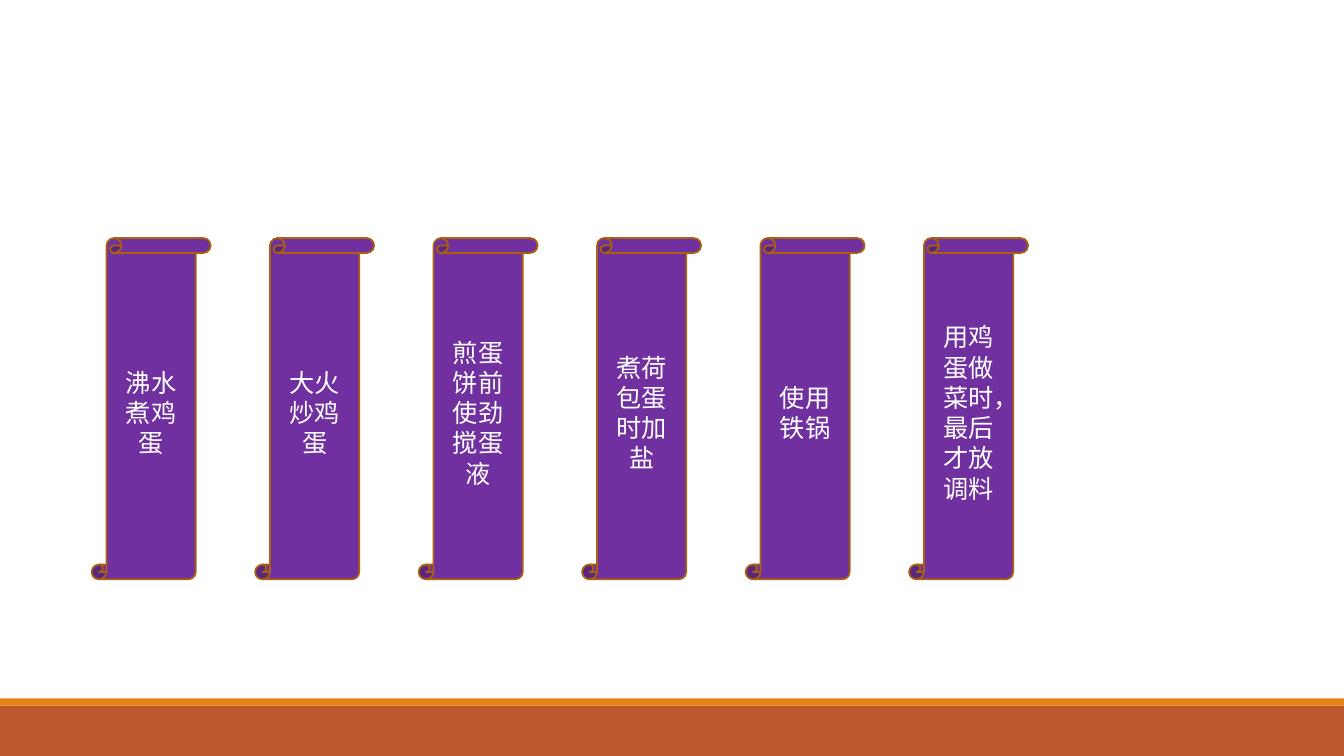
from dataclasses import dataclass

from pptx import Presentation
from pptx.dml.color import RGBColor
from pptx.enum.shapes import MSO_SHAPE
from pptx.enum.text import MSO_ANCHOR, PP_ALIGN
from pptx.util import Cm, Pt

SLIDE_WIDTH, SLIDE_HEIGHT = 33.87, 19.05
SCROLL_LEFT, SCROLL_TOP, SCROLL_PITCH = 2.31, 6, 4.12
SCROLL_WIDTH, SCROLL_HEIGHT = 3, 8.6
FOOTER_TOP, STRIPE_HEIGHT = 17.78, 0.18

COOKING_TIPS = [
    "沸水煮鸡蛋",
    "大火炒鸡蛋",
    "煎蛋饼前使劲搅蛋液",
    "煮荷包蛋时加盐",
    "使用铁锅",
    "用鸡蛋做菜时，最后才放调料",
]


@dataclass(frozen=True)
class Theme:
    footer: RGBColor = RGBColor.from_string("BD582C")
    stripe: RGBColor = RGBColor.from_string("E48312")
    scroll: RGBColor = RGBColor.from_string("7030A0")
    outline: RGBColor = RGBColor.from_string("A9610D")
    text: RGBColor = RGBColor.from_string("FFFFFF")
    font: str = "Calibri"
    text_size: Pt = Pt(18)
    outline_width: Pt = Pt(1.25)


class SlideBuilder:
    def __init__(self, slide, theme):
        self.slide = slide
        self.theme = theme

    def filled_shape(self, kind, left, top, width, height, color):
        """Add a preset shape, measured in cm, with no shadow or outline."""
        shape = self.slide.shapes.add_shape(
            kind, Cm(left), Cm(top), Cm(width), Cm(height))
        shape.shadow.inherit = False
        shape.fill.solid()
        shape.fill.fore_color.rgb = color
        shape.line.fill.background()
        return shape

    def band(self, top, height, color):
        self.filled_shape(MSO_SHAPE.RECTANGLE, 0, top, SLIDE_WIDTH, height, color)

    def scroll(self, left, tip):
        scroll = self.filled_shape(
            MSO_SHAPE.VERTICAL_SCROLL, left, SCROLL_TOP,
            SCROLL_WIDTH, SCROLL_HEIGHT, self.theme.scroll)
        scroll.line.color.rgb = self.theme.outline
        scroll.line.width = self.theme.outline_width

        frame = scroll.text_frame
        frame.text = tip
        frame.word_wrap = True
        frame.vertical_anchor = MSO_ANCHOR.MIDDLE
        paragraph = frame.paragraphs[0]
        paragraph.alignment = PP_ALIGN.CENTER
        font = paragraph.runs[0].font
        font.name = self.theme.font
        font.size = self.theme.text_size
        font.color.rgb = self.theme.text


def main():
    presentation = Presentation()
    presentation.slide_width = Cm(SLIDE_WIDTH)
    presentation.slide_height = Cm(SLIDE_HEIGHT)
    slide = presentation.slides.add_slide(presentation.slide_layouts[6])
    theme = Theme()
    builder = SlideBuilder(slide, theme)

    builder.band(FOOTER_TOP, SLIDE_HEIGHT - FOOTER_TOP, theme.footer)
    builder.band(FOOTER_TOP - STRIPE_HEIGHT, STRIPE_HEIGHT, theme.stripe)
    for index, tip in enumerate(COOKING_TIPS):
        builder.scroll(SCROLL_LEFT + index * SCROLL_PITCH, tip)

    presentation.save("out.pptx")


if __name__ == "__main__":
    main()
